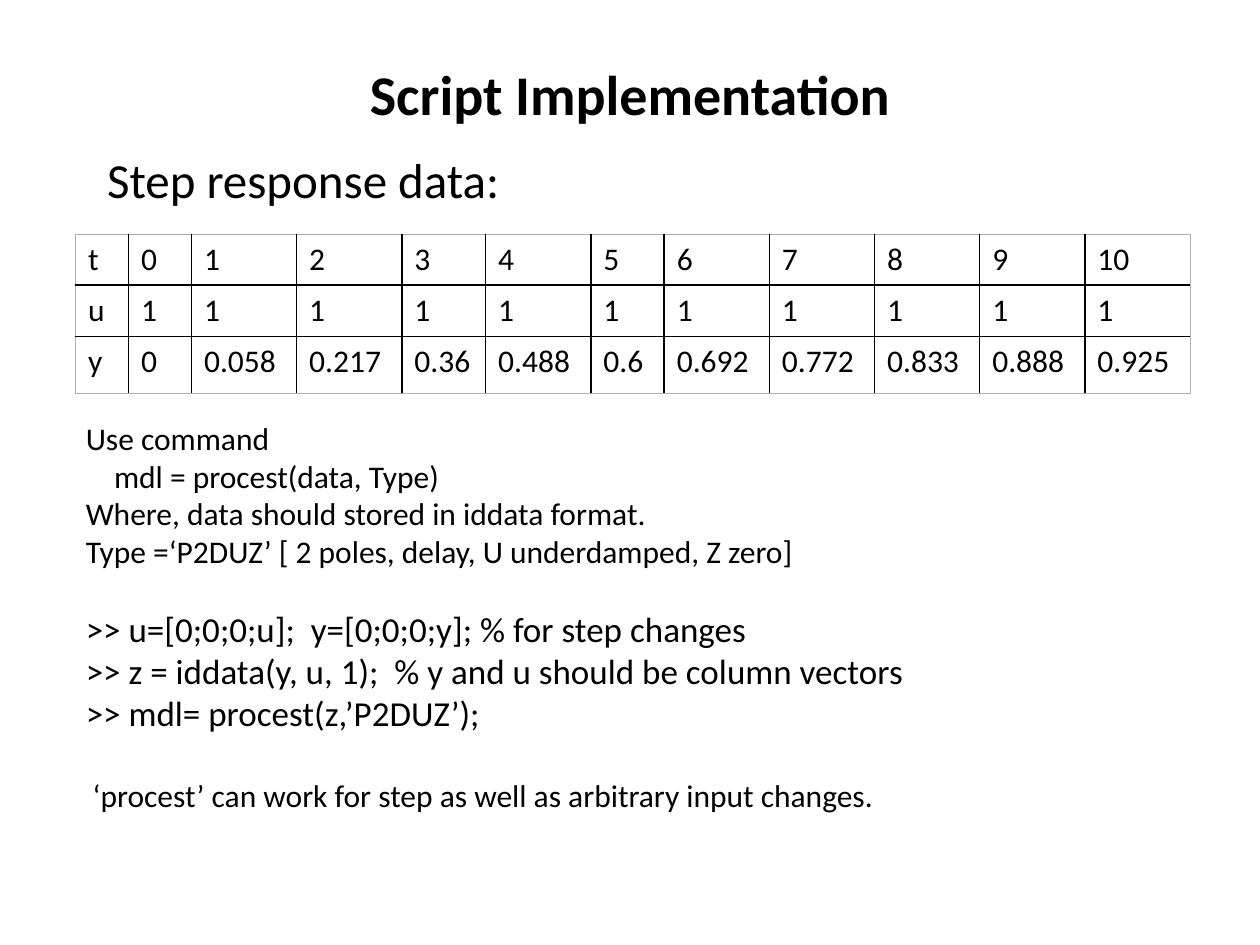
from dataclasses import dataclass

from lxml import etree
from pptx import Presentation
from pptx.dml.color import RGBColor
from pptx.enum.text import MSO_ANCHOR, PP_ALIGN
from pptx.oxml.ns import qn
from pptx.util import Cm, Pt

LEFT, CENTER = PP_ALIGN.LEFT, PP_ALIGN.CENTER
TOP, MIDDLE = MSO_ANCHOR.TOP, MSO_ANCHOR.MIDDLE


@dataclass(frozen=True)
class Theme:
    font: str = "Calibri"
    ink: str = "000000"
    outer_line: str = "B2B2B2"
    inner_width: float = 1
    outer_width: float = 0.5
    title: int = 32
    heading: int = 28
    code: int = 20
    body: int = 18


@dataclass(frozen=True)
class Line:
    text: str
    size: int
    bold: bool = False
    align: PP_ALIGN = LEFT
    spacing: float = 1.0
    before: float = 0
    indent: float = 0


@dataclass(frozen=True)
class TextBlock:
    left: float
    top: float
    width: float
    height: float
    lines: tuple[Line, ...]
    anchor: MSO_ANCHOR = TOP


THEME = Theme()

BLOCKS = (
    TextBlock(1.91, 0.91, 21.59, 2.11, (
        Line("Script Implementation", THEME.title, True, CENTER, 0.9),
    ), MIDDLE),
    TextBlock(1.91, 3.02, 21.59, 1.7, (
        Line("Step response data:", THEME.heading, spacing=0.9),
    )),
    TextBlock(1.48, 8.32, 22.43, 9.83, (
        Line("Use command", THEME.body),
        Line("mdl = procest(data, Type)", THEME.body, indent=0.57),
        Line("Where, data should stored in iddata format.", THEME.body),
        Line("Type =‘P2DUZ’ [ 2 poles, delay, U underdamped, Z zero]", THEME.body),
        Line(">> u=[0;0;0;u];  y=[0;0;0;y]; % for step changes", THEME.code, before=21.5),
        Line(">> z = iddata(y, u, 1);  % y and u should be column vectors", THEME.code),
        Line(">> mdl= procest(z,’P2DUZ’);", THEME.code),
        Line("‘procest’ can work for step as well as arbitrary input changes.",
             THEME.body, before=24, indent=0.14),
    )),
)

RESPONSE = ("0", "0.058", "0.217", "0.36", "0.488", "0.6",
            "0.692", "0.772", "0.833", "0.888", "0.925")
DATA_ROWS = (
    ("t", *map(str, range(len(RESPONSE)))),
    ("u", *["1"] * len(RESPONSE)),
    ("y", *RESPONSE),
)
COLUMN_WIDTHS = (1.07, 1.27, 2.12, 2.12, 1.69, 2.12, 1.48, *[2.12] * 5)
ROW_HEIGHTS = (1.03, 1.03, 1.15)


def apply_format(target, values: dict) -> None:
    for name, value in values.items():
        setattr(target, name, value)


def write_line(para, line: Line) -> None:
    para.font.color.rgb = RGBColor.from_string(THEME.ink)
    if line.indent:
        properties = para._p.get_or_add_pPr()
        properties.set("marL", str(Cm(line.indent)))
        properties.set("indent", "0")
    apply_format(para, {
        "alignment": line.align,
        "line_spacing": line.spacing,
        "space_before": Pt(line.before),
    })
    span = para.add_run()
    span.text = line.text
    apply_format(span.font, {
        "name": THEME.font, "size": Pt(line.size), "bold": line.bold,
    })
    span.font.color.rgb = RGBColor.from_string(THEME.ink)


def draw_text(page, block: TextBlock) -> None:
    box = page.shapes.add_textbox(
        Cm(block.left), Cm(block.top), Cm(block.width), Cm(block.height))
    frame = box.text_frame
    apply_format(frame, {"word_wrap": True, "vertical_anchor": block.anchor})
    for index, line in enumerate(block.lines):
        para = frame.add_paragraph() if index else frame.paragraphs[0]
        write_line(para, line)


def draw_border(cell, side: str, outer: bool) -> None:
    width = THEME.outer_width if outer else THEME.inner_width
    color = THEME.outer_line if outer else THEME.ink
    properties = cell._tc.get_or_add_tcPr()
    border = etree.SubElement(properties, qn(f"a:ln{side}"), w=str(Pt(width)))
    fill = etree.SubElement(border, qn("a:solidFill"))
    etree.SubElement(fill, qn("a:srgbClr"), val=color)


def draw_table(page, left: float, top: float) -> None:
    row_count, column_count = len(DATA_ROWS), len(COLUMN_WIDTHS)
    table = page.shapes.add_table(
        row_count, column_count, Cm(left), Cm(top),
        Cm(sum(COLUMN_WIDTHS)), Cm(sum(ROW_HEIGHTS))).table
    apply_format(table, {"first_row": False, "horz_banding": False})
    for column, width in zip(table.columns, COLUMN_WIDTHS):
        column.width = Cm(width)
    for row, height in zip(table.rows, ROW_HEIGHTS):
        row.height = Cm(height)
    for row_index, values in enumerate(DATA_ROWS):
        for column_index, value in enumerate(values):
            cell = table.cell(row_index, column_index)
            outer_sides = {
                "L": column_index == 0,
                "R": column_index == column_count - 1,
                "T": row_index == 0,
                "B": row_index == row_count - 1,
            }
            for side, outer in outer_sides.items():
                draw_border(cell, side, outer)
            cell.fill.background()
            write_line(cell.text_frame.paragraphs[0], Line(value, THEME.body))


def main() -> None:
    deck = Presentation()
    apply_format(deck, {"slide_width": Cm(25.4), "slide_height": Cm(19.05)})
    page = deck.slides.add_slide(deck.slide_layouts[6])
    title, heading, commands = BLOCKS
    draw_text(page, title)
    draw_text(page, heading)
    draw_table(page, 1.52, 4.72)
    draw_text(page, commands)
    deck.save("out.pptx")


if __name__ == "__main__":
    main()
